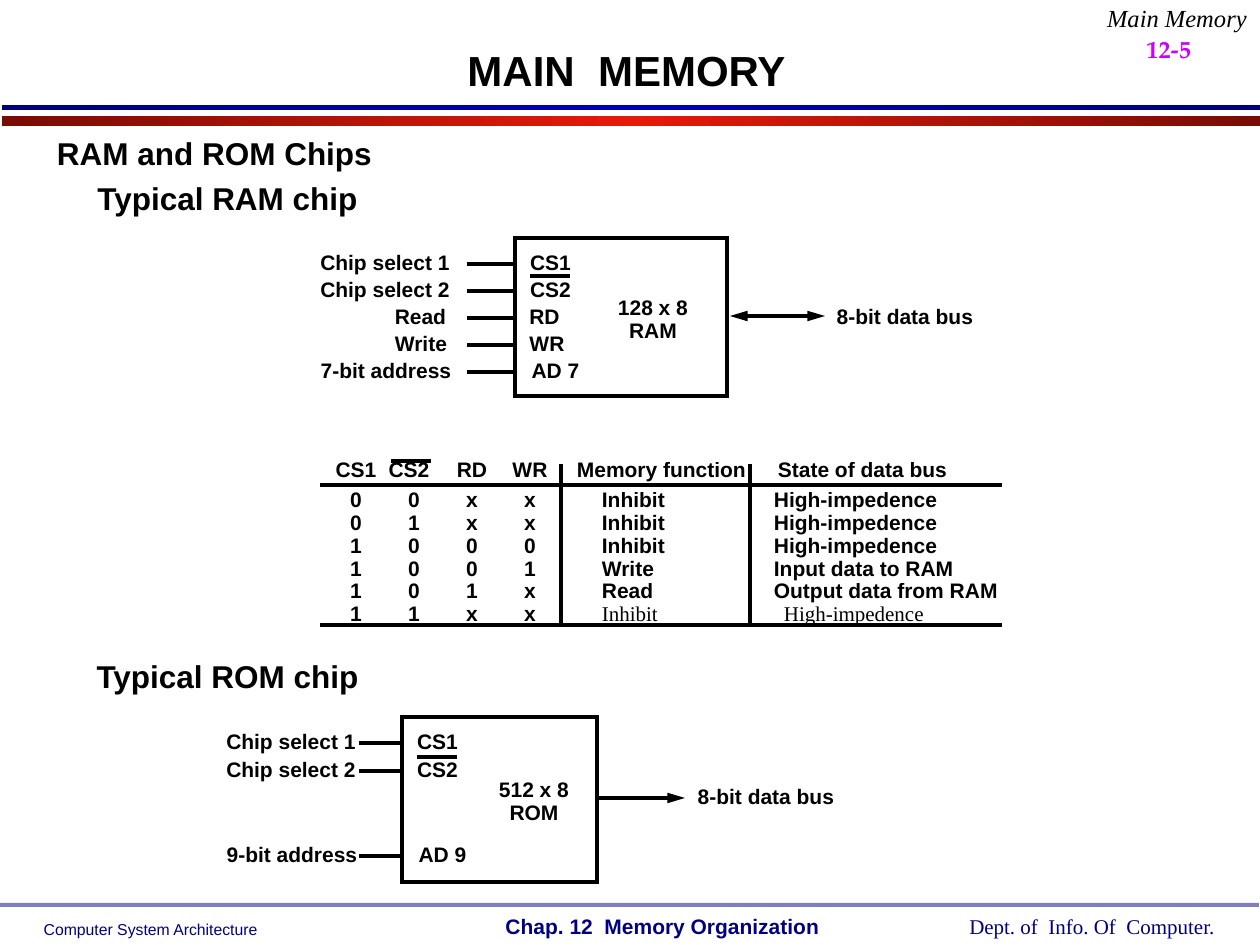
from copy import deepcopy
from pptx import Presentation as Pres
from pptx.dml.color import RGBColor as RGB
from pptx.enum.shapes import MSO_CONNECTOR as Conn, MSO_SHAPE as Form
from pptx.enum.text import MSO_ANCHOR as Anchor, MSO_AUTO_SIZE as Fit
from pptx.enum.text import PP_ALIGN as Align
from pptx.oxml.ns import qn
from pptx.oxml.xmlchemy import OxmlElement as Node
from pptx.util import Pt

SCALE = 914400 / 126
SIDE = {"l": Align.LEFT, "c": Align.CENTER, "r": Align.RIGHT}
BLACK, NAVY = "000000", "000082"
SERIF = "Times New Roman"


def px(n):
    return round(n * SCALE)


def tint(code):
    return RGB.from_string(code)


def put(frame, text, size=12, font="Arial", color=BLACK, bold=True,
        italic=False, side="c", lead=0.9, shift=0):
    for i, line in enumerate(text.split("\n")):
        para = frame.add_paragraph() if i else frame.paragraphs[0]
        para.alignment, para.line_spacing = SIDE[side], lead
        run = para.add_run()
        run.text = line
        face = run.font
        face.size, face.name = Pt(size), font
        face.bold, face.italic = bold, italic
        face.color.rgb = tint(color)
        if shift:
            face._element.set("baseline", str(shift * 1000))


class Board:
    def __init__(self, slide):
        self.slide = slide
        self.ink = BLACK
        self.weight = Pt(2)

    def text(self, x, y, w, h, words, mid=False, wrap=False, **style):
        box = self.slide.shapes.add_textbox(px(x), px(y), px(w), px(h))
        frame = box.text_frame
        frame.word_wrap = wrap
        frame.vertical_anchor = Anchor.MIDDLE if mid else Anchor.TOP
        if not wrap:
            frame.auto_size = Fit.SHAPE_TO_FIT_TEXT
            frame.margin_left = frame.margin_right = px(8)
        put(frame, words, **style)

    def rect(self, x, y, w, h):
        shape = self.slide.shapes.add_shape(
            Form.RECTANGLE, px(x), px(y), px(w), px(h))
        shape.shadow.inherit = False
        shape.fill.background()
        shape.line.fill.background()
        return shape

    def frame(self, *place):
        line = self.rect(*place).line
        line.color.rgb, line.width = tint(self.ink), self.weight
        join = Node("a:miter")
        join.set("lim", "800000")
        line._ln.append(join)

    def glow(self, x, y, w, h, edge, core):
        shape = self.rect(x, y, w, h)
        fill = shape.fill
        fill.gradient()
        fill.gradient_angle = 0
        for stop, code, spot in zip(fill.gradient_stops, (edge, core), (0, 0.5)):
            stop.color.rgb, stop.position = tint(code), spot
        stops = shape._element.spPr.find(".//" + qn("a:gsLst"))
        last = deepcopy(stops[0])
        last.set("pos", "100000")
        stops.append(last)

    def haze(self, x, y, w, h, code, alpha):
        shape = self.rect(x, y, w, h)
        shape.fill.solid()
        shape.fill.fore_color.rgb = tint(code)
        node = Node("a:alpha")
        node.set("val", str(alpha * 1000))
        shape._element.spPr.find(".//" + qn("a:srgbClr")).append(node)

    def line(self, x1, y1, x2, y2, tips=()):
        wire = self.slide.shapes.add_connector(
            Conn.STRAIGHT, px(x1), px(y1), px(x2), px(y2))
        wire.line.color.rgb, wire.line.width = tint(self.ink), self.weight
        for tip in tips:
            end = Node("a:" + tip)
            for key, val in (("type", "triangle"), ("w", "med"), ("len", "lg")):
                end.set(key, val)
            wire.line._ln.append(end)
        wire._element.spPr.append(Node("a:effectLst"))

    def pin(self, y, label, name, x1, x2):
        self.text(label[0], y - 18, label[1], 35, label[2])
        self.line(x1, y, x2, y)
        self.text(name[0], y - 18, name[1], 35, name[2])

    def grid(self, x, y, cols, tall, rows, style):
        high = [tall[0]] + [tall[1]] * (len(rows) - 1)
        table = self.slide.shapes.add_table(
            len(rows), len(cols), px(x), px(y), px(sum(cols)), px(sum(high))).table
        table.first_row = table.horz_banding = False
        for col, wide in zip(table.columns, cols):
            col.width = px(wide)
        for r, row in enumerate(rows):
            table.rows[r].height = px(high[r])
            for c, words in enumerate(row):
                cell = table.cell(r, c)
                cell.fill.background()
                cell.margin_top = cell.margin_bottom = 0
                left, right, form = style(r, c)
                cell.margin_left, cell.margin_right = px(left), px(right)
                cell.text_frame.word_wrap = True
                put(cell.text_frame, words, **form)


def look(r, c):
    if c < 4:
        return 0, 10 if (r, c) == (0, 1) else 0, {}
    last = r == 6
    if c == 4:
        left = 43 if r else 18
    else:
        left = 34 if last else 24 if r else 28
    form = {"side": "l"}
    if last:
        form.update(font=SERIF, bold=False)
    return left, 0, form


def main():
    deck = Pres()
    deck.slide_width, deck.slide_height = px(1260), px(945)
    board = Board(deck.slides.add_slide(deck.slide_layouts[6]))

    board.glow(2, 116, 1258, 10, "770D05", "E71909")
    board.glow(2, 105, 1258, 5, "00007F", "0000B6")
    board.haze(0, 903, 1259, 4, NAVY, 50)
    board.text(31, 914, 239, 31, "Computer System Architecture",
               size=9, color=NAVY, bold=False, lead=1)
    board.text(493, 907, 339, 38, "Chap. 12  Memory Organization",
               color=NAVY, lead=1)
    board.text(956, 907, 272, 38, "Dept. of  Info. Of  Computer.",
               font=SERIF, color=NAVY, bold=False, lead=1)
    board.text(1078, 0, 177, 39, "Main Memory", size=14, font=SERIF,
               bold=False, italic=True, side="r")
    board.text(1134, 0, 136, 47, "12-5", wrap=True, size=24, side="l", lead=1,
               font="TeX Gyre Pagella", color="CC00FF", shift=-25)
    board.text(93, 38, 1067, 63, "MAIN  MEMORY", mid=True, wrap=True,
               size=24, lead=1)
    for x, y, w, words in ((47, 128, 335, "RAM and ROM Chips"),
                           (87, 173, 281, "Typical RAM chip"),
                           (87, 651, 281, "Typical ROM chip")):
        board.text(x, y, w, 45, words, size=18, lead=1)

    board.frame(515, 238, 212, 158)
    pins = (((307, 156, "Chip select 1"), (517, 67, "CS1")),
            ((307, 156, "Chip select 2"), (517, 67, "CS2")),
            ((382, 77, "Read"), (517, 55, "RD")),
            ((382, 78, "Write"), (517, 60, "WR")),
            ((307, 158, "7-bit address"), (519, 73, "AD 7")))
    for i, (label, name) in enumerate(pins):
        board.pin(264 + 27 * i, label, name, 467, 517)
    board.text(605, 291, 96, 58, "128 x 8\nRAM")
    board.line(730, 316, 825, 316, ("headEnd", "tailEnd"))
    board.text(823, 300, 164, 35, "8-bit data bus")

    high = "High-impedence"
    rows = (("CS1", "CS2", "RD", "WR", "Memory function", "State of data bus"),
            (*"00xx", "Inhibit", high),
            (*"01xx", "Inhibit", high),
            (*"1000", "Inhibit", high),
            (*"1001", "Write", "Input data to RAM"),
            (*"101x", "Read", "Output data from RAM"),
            (*"11xx", "Inhibit", high))
    board.grid(327, 461, [58] * 4 + [191, 252], (30, 22), rows, look)
    for y in (485, 625):
        board.line(320, y, 1002, y)
    for x in (561, 750):
        board.line(x, 464, x, 625)

    board.frame(402, 717, 195, 165)
    pins = ((743, (213, 156, "Chip select 1"), (404, 67, "CS1")),
            (771, (213, 156, "Chip select 2"), (404, 67, "CS2")),
            (856, (213, 158, "9-bit address"), (406, 73, "AD 9")))
    for y, label, name in pins:
        board.pin(y, label, name, 359, 404)
    board.text(486, 773, 96, 58, "512 x 8\nROM")
    board.line(598, 798, 685, 798, ("tailEnd",))
    board.text(684, 780, 164, 35, "8-bit data bus")

    for x, y in ((530, 276), (391, 461), (417, 757)):
        board.line(x, y, x + 40, y)
    deck.save("out.pptx")


if __name__ == "__main__":
    main()
